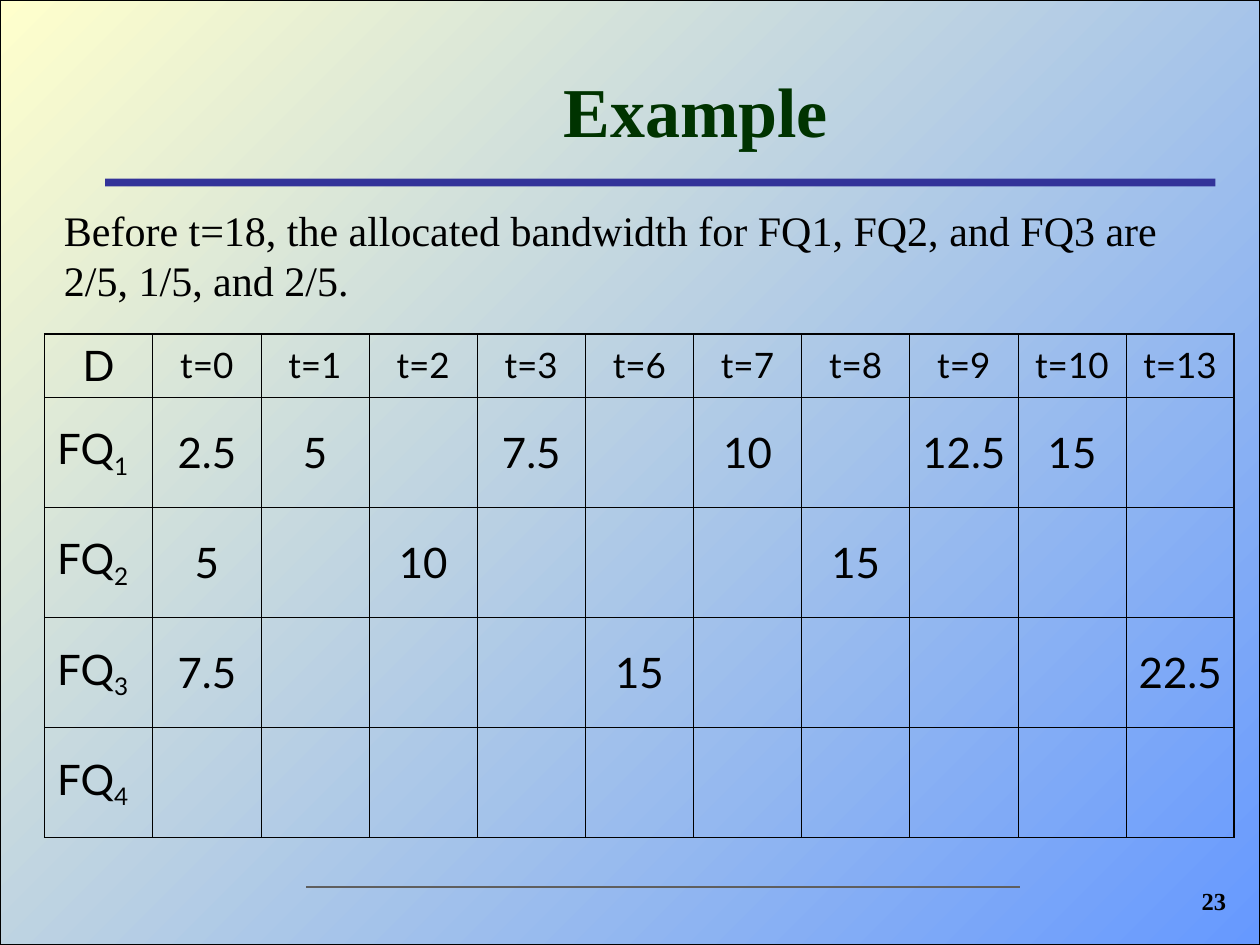
from lxml.etree import SubElement
from pptx import Presentation
from pptx.dml.color import RGBColor
from pptx.enum.shapes import MSO_CONNECTOR as CONN, MSO_SHAPE as SHAPE
from pptx.enum.text import MSO_ANCHOR as ANCHOR, PP_ALIGN as ALIGN
from pptx.oxml.ns import qn
from pptx.util import Cm, Pt

BLACK = RGBColor(0x00, 0x00, 0x00)
GREEN = RGBColor(0x00, 0x33, 0x00)
INDIGO = RGBColor(0x33, 0x33, 0x99)
GREY = RGBColor(0x5F, 0x5F, 0x5F)
CREAM = RGBColor(0xFF, 0xFF, 0xCC)
BLUE = RGBColor(0x66, 0x99, 0xFF)

SERIF, SANS = "Times New Roman", "Lato"
TITLE = {"name": SERIF, "size": Pt(40), "bold": True}
BODY = {"name": SERIF, "size": Pt(24)}
NUMBER = {"name": SERIF, "size": Pt(14), "bold": True}
TIME = {"name": SANS, "size": Pt(20)}
VALUE = {"name": SANS, "size": Pt(24)}

TIMES = [0, 1, 2, 3, 6, 7, 8, 9, 10, 13]
QUEUES = [
    {0: "2.5", 1: "5", 3: "7.5", 7: "10", 9: "12.5", 10: "15"},
    {0: "5", 2: "10", 8: "15"},
    {0: "7.5", 6: "15", 13: "22.5"},
    {},
]
COL_W, HEAD_H, ROW_H = 2.18, 1.27, 2.22
LABEL_PAD, VALUE_PAD = 0.25, 0.15
THIN, THICK = 0.45, 1.08


def add_run(p, text, fmt, color=BLACK):
    """Append a formatted run to a paragraph."""
    r = p.add_run()
    r.text = text
    for key, value in fmt.items():
        setattr(r.font, key, value)
    r.font.color.rgb = color
    return r


def add_text(s, box, text, fmt, color=BLACK, align=ALIGN.LEFT, anchor=ANCHOR.TOP):
    """Add a wrapping text box with one paragraph."""
    tf = s.shapes.add_textbox(*map(Cm, box)).text_frame
    tf.word_wrap = True
    tf.vertical_anchor = anchor
    tf.paragraphs[0].alignment = align
    add_run(tf.paragraphs[0], text, fmt, color)


def add_rect(s, box):
    """Add a rectangle without shadow."""
    sp = s.shapes.add_shape(SHAPE.RECTANGLE, *map(Cm, box))
    sp.shadow.inherit = False
    return sp


def add_backdrop(s):
    """Add the diagonal gradient and the two rules."""
    sp = add_rect(s, (0, 0, 25.4, 19.05))
    sp.fill.gradient()
    sp.fill.gradient_angle = 315
    for stop, color in zip(sp.fill.gradient_stops, (CREAM, BLUE)):
        stop.color.rgb = color
    sp.line.color.rgb = BLACK
    sp.line.width = Pt(0.75)

    bar = add_rect(s, (2.12, 3.6, 22.38, 0.16))
    bar.fill.solid()
    bar.fill.fore_color.rgb = INDIGO
    bar.line.fill.background()

    rule = s.shapes.add_connector(CONN.STRAIGHT, *map(Cm, (6.17, 17.88, 20.57, 17.88)))
    rule.line.color.rgb = GREY
    rule.line.width = Pt(1.5)
    SubElement(rule._element.spPr, qn("a:effectLst"))


def style_cell(cell, outer):
    """Clear the fill and draw borders, thick on the outer sides."""
    tcPr = cell._tc.get_or_add_tcPr()
    for side in "LRTB":
        width = Pt(THICK if side in outer else THIN)
        ln = SubElement(tcPr, qn(f"a:ln{side}"), w=str(int(width)))
        fill = SubElement(ln, qn("a:solidFill"))
        SubElement(fill, qn("a:srgbClr"), val=str(BLACK))
    cell.fill.background()
    cell.vertical_anchor = ANCHOR.MIDDLE


def fill_cell(cell, text, fmt=VALUE, sub="", align=ALIGN.CENTER, pad=VALUE_PAD):
    """Write text with an optional subscript in a cell."""
    cell.margin_left = cell.margin_right = Cm(pad)
    p = cell.text_frame.paragraphs[0]
    p.alignment = align
    add_run(p, text, fmt)
    if sub:
        r = add_run(p, sub, fmt)
        r.font._element.set("baseline", "-25000")


def add_schedule(s):
    """Add the table of queue values over time."""
    rows, cols = len(QUEUES) + 1, len(TIMES) + 1
    size = (COL_W * cols, HEAD_H + ROW_H * len(QUEUES))
    table = s.shapes.add_table(rows, cols, Cm(0.9), Cm(6.73), *map(Cm, size)).table
    table.first_row = table.horz_banding = False
    for col in table.columns:
        col.width = Cm(COL_W)
    for i, row in enumerate(table.rows):
        row.height = Cm(ROW_H if i else HEAD_H)
        for j, cell in enumerate(row.cells):
            edges = {"L": j == 0, "R": j == cols - 1, "T": i == 0, "B": i == rows - 1}
            style_cell(cell, [side for side, on in edges.items() if on])

    fill_cell(table.cell(0, 0), "D")
    table.cell(0, 0).vertical_anchor = ANCHOR.TOP
    for j, t in enumerate(TIMES, 1):
        fill_cell(table.cell(0, j), f"t={t}", TIME)
    for i, values in enumerate(QUEUES, 1):
        fill_cell(table.cell(i, 0), "FQ", sub=str(i), align=ALIGN.LEFT, pad=LABEL_PAD)
        for t, value in values.items():
            fill_cell(table.cell(i, TIMES.index(t) + 1), value)


def main():
    """Build the slide and save it."""
    prs = Presentation()
    prs.slide_width, prs.slide_height = Cm(25.4), Cm(19.05)
    s = prs.slides.add_slide(prs.slide_layouts[6])
    add_backdrop(s)
    add_text(s, (3.5, 0.84, 21.06, 2.74), "Example", TITLE, GREEN,
             ALIGN.CENTER, ANCHOR.MIDDLE)
    add_schedule(s)
    add_text(s, (1.04, 3.99, 23.65, 2.29),
             "Before t=18, the allocated bandwidth for FQ1, FQ2, and FQ3 are "
             "2/5, 1/5, and 2/5.", BODY)
    add_text(s, (22.23, 17.73, 2.74, 1.27), "23", NUMBER, align=ALIGN.RIGHT)
    prs.save("out.pptx")


if __name__ == "__main__":
    main()
